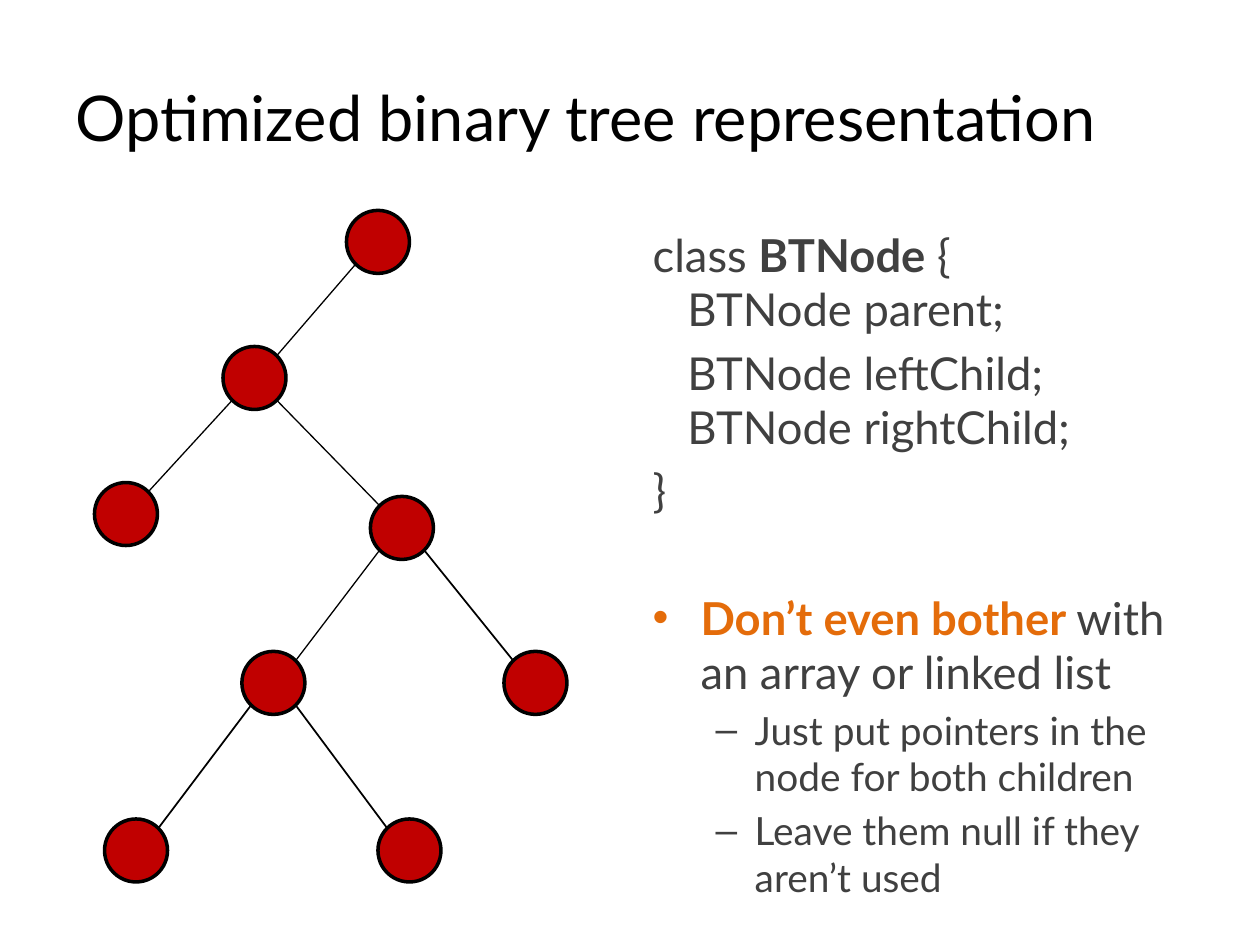
import pptx
import pptx.dml.color
import pptx.enum.shapes
import pptx.enum.text
import pptx.oxml.ns
import pptx.util
from lxml import etree

Inches = pptx.util.Inches
Pt = pptx.util.Pt
RGBColor = pptx.dml.color.RGBColor
qn = pptx.oxml.ns.qn

BLACK = RGBColor(0x00, 0x00, 0x00)
GRAY = RGBColor(0x40, 0x40, 0x40)
ORANGE = RGBColor(0xE4, 0x6C, 0x0A)
RED = RGBColor(0xC0, 0x00, 0x00)
FONT = "Lato"

TITLE = "Optimized binary tree representation"

# Each paragraph: style, space before in points, lines of (text, emphasis colour or None)
BODY = [
    ("code", 0, [[("class ", None), ("BTNode", GRAY), (" {", None)],
                 [("   BTNode parent;", None)]]),
    ("code", 5.2, [[("   BTNode leftChild;", None)],
                   [("   BTNode rightChild;", None)]]),
    ("code", 5.2, [[("}", None)]]),
    ("point", 41.5, [[("Don’t even bother ", ORANGE),
                      ("with an array or linked list", None)]]),
    ("detail", 4.4, [[("Just put pointers in the node for both children", None)]]),
    ("detail", 4.4, [[("Leave them null if they aren’t used", None)]]),
]

# Style: level, size, left margin, first-line indent, bullet, bullet colour
STYLES = {
    "code": (0, 25.9, 0, 0, None, None),
    "point": (0, 25.9, 0.38, -0.38, "•", ORANGE),
    "detail": (1, 22.2, 0.81, -0.31, "–", GRAY),
}

# Left and top of each tree node
NODE_SIZE = 0.5
NODES = {
    "root": (2.75, 1.67),
    "left": (1.77, 2.75),
    "left leaf": (0.75, 3.83),
    "right": (2.94, 3.94),
    "lower left": (1.92, 5.17),
    "lower right": (4, 5.17),
    "bottom left": (0.83, 6.5),
    "bottom right": (3, 6.5),
}

# Parent, child, line width in points
EDGES = [
    ("root", "left", 0.75),
    ("left", "left leaf", 0.75),
    ("left", "right", 0.75),
    ("right", "lower left", 0.75),
    ("right", "lower right", 1),
    ("lower left", "bottom left", 1),
    ("lower left", "bottom right", 1),
]


def set_bullet(paragraph, margin, indent, bullet, color):
    properties = paragraph._p.get_or_add_pPr()
    properties.set("marL", str(Inches(margin)))
    properties.set("indent", str(Inches(indent)))
    if bullet is None:
        etree.SubElement(properties, qn("a:buNone"))
        return
    bullet_color = etree.SubElement(properties, qn("a:buClr"))
    etree.SubElement(bullet_color, qn("a:srgbClr"), val=str(color))
    etree.SubElement(properties, qn("a:buFont"), typeface="Arial")
    etree.SubElement(properties, qn("a:buChar"), char=bullet)


def set_font(font, size, color):
    font.name = FONT
    font.size = Pt(size)
    font.color.rgb = color


def place(shape, left, top, width, height):
    shape.left, shape.top = Inches(left), Inches(top)
    shape.width, shape.height = Inches(width), Inches(height)


def add_title(slide):
    title = slide.shapes.title
    place(title, 0.5, 0.3, 9, 1.25)
    title.text_frame.text = TITLE
    title.text_frame.auto_size = pptx.enum.text.MSO_AUTO_SIZE.NONE
    title.text_frame.vertical_anchor = pptx.enum.text.MSO_ANCHOR.MIDDLE
    paragraph = title.text_frame.paragraphs[0]
    paragraph.alignment = pptx.enum.text.PP_ALIGN.LEFT
    set_font(paragraph.font, 36, BLACK)


def add_body(slide):
    body = slide.placeholders[1]
    place(body, 5.08, 1.75, 4.42, 4.95)
    frame = body.text_frame
    frame.auto_size = pptx.enum.text.MSO_AUTO_SIZE.NONE
    for index, (style, space_before, lines) in enumerate(BODY):
        level, size, margin, indent, bullet, color = STYLES[style]
        paragraph = frame.add_paragraph() if index else frame.paragraphs[0]
        set_bullet(paragraph, margin, indent, bullet, color)
        paragraph.level = level
        paragraph.space_before = Pt(space_before)
        set_font(paragraph.font, size, GRAY)
        for line_index, line in enumerate(lines):
            if line_index:
                paragraph.add_line_break()
            for text, emphasis in line:
                run = paragraph.add_run()
                run.text = text
                if emphasis is not None:
                    run.font.bold = True
                    run.font.color.rgb = emphasis


def add_edge(slide, parent, child, width):
    """Join the lower diagonal of the parent to the upper diagonal of the child."""
    radius = NODE_SIZE / 2
    diagonal = radius * 0.5 ** 0.5
    (parent_x, parent_y), (child_x, child_y) = NODES[parent], NODES[child]
    side = diagonal if child_x > parent_x else -diagonal
    line = slide.shapes.add_connector(
        pptx.enum.shapes.MSO_CONNECTOR.STRAIGHT,
        Inches(parent_x + radius + side), Inches(parent_y + radius + diagonal),
        Inches(child_x + radius - side), Inches(child_y + radius - diagonal))
    line.line.color.rgb = BLACK
    line.line.width = Pt(width)
    etree.SubElement(line._element.spPr, qn("a:effectLst"))


def add_node(slide, left, top):
    node = slide.shapes.add_shape(
        pptx.enum.shapes.MSO_SHAPE.OVAL, Inches(left), Inches(top),
        Inches(NODE_SIZE), Inches(NODE_SIZE))
    node.shadow.inherit = False
    node.fill.solid()
    node.fill.fore_color.rgb = RED
    node.line.color.rgb = BLACK
    node.line.width = Pt(2)


def main():
    presentation = pptx.Presentation()
    presentation.slide_width = Inches(10)
    presentation.slide_height = Inches(7.5)
    slide = presentation.slides.add_slide(presentation.slide_layouts[1])
    add_title(slide)
    add_body(slide)
    for edge in EDGES:
        add_edge(slide, *edge)
    for left, top in NODES.values():
        add_node(slide, left, top)
    presentation.save("out.pptx")


if __name__ == "__main__":
    main()
